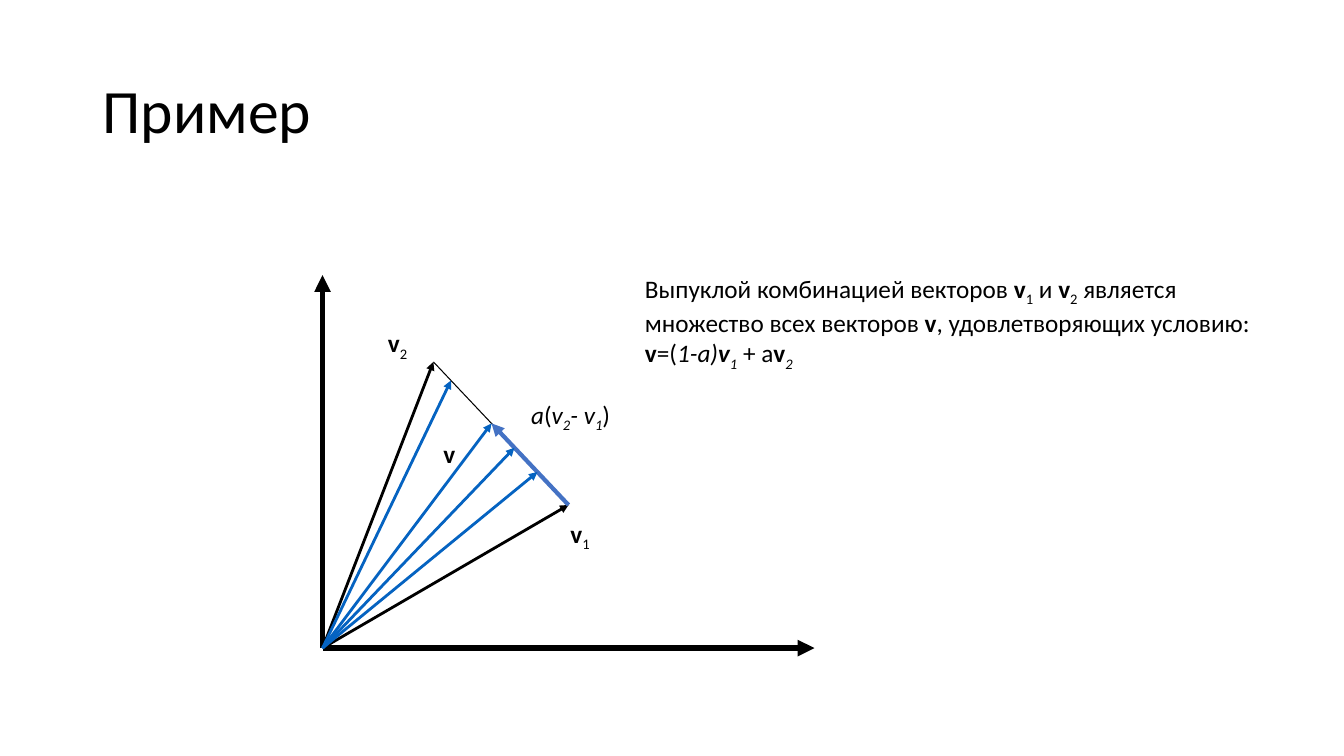
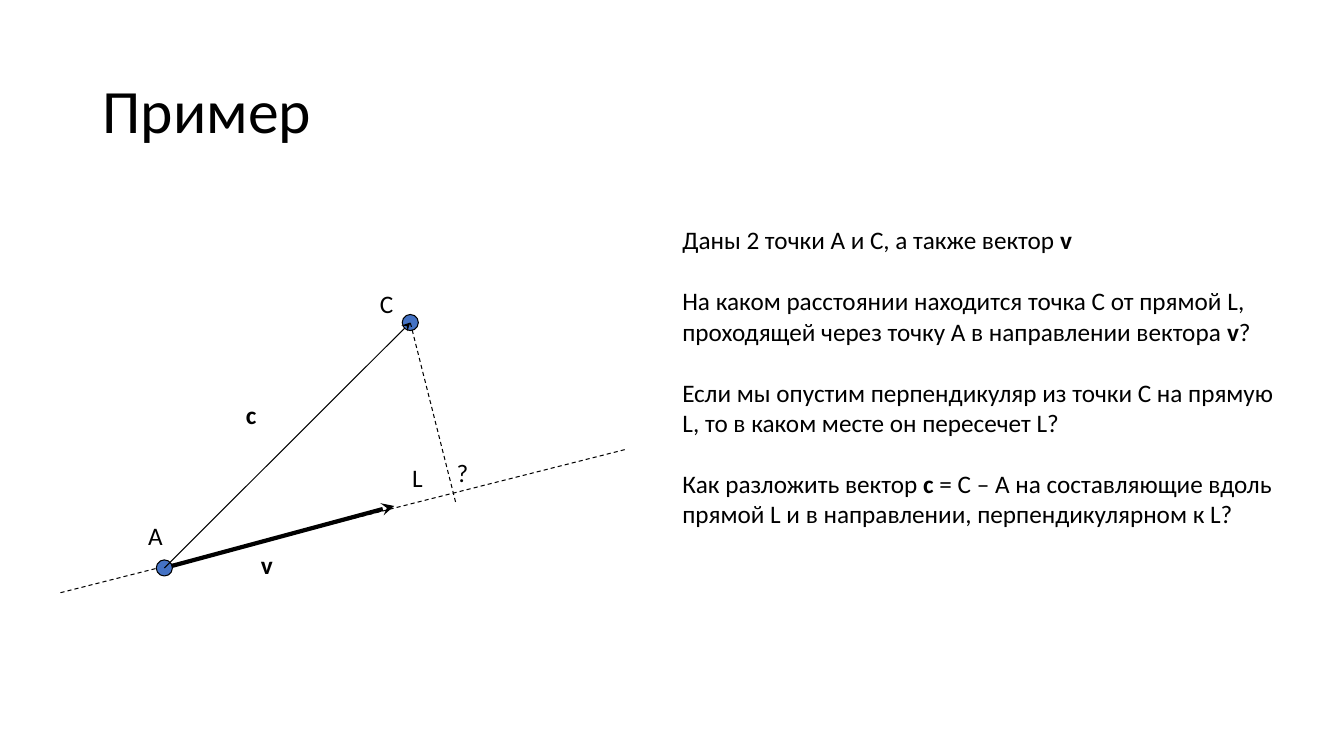
from typing import NamedTuple

from lxml import etree
from pptx import Presentation
from pptx.dml.color import RGBColor
from pptx.enum.dml import MSO_LINE
from pptx.enum.shapes import MSO_CONNECTOR, MSO_SHAPE
from pptx.enum.text import MSO_ANCHOR, MSO_AUTO_SIZE
from pptx.oxml.ns import qn
from pptx.slide import Slide
from pptx.util import Inches, Pt

STRAIGHT, ELLIPSE = MSO_CONNECTOR.STRAIGHT, MSO_SHAPE.OVAL
DASH = MSO_LINE.DASH
MIDDLE, TOP = MSO_ANCHOR.MIDDLE, MSO_ANCHOR.TOP
FIT, NO_FIT = MSO_AUTO_SIZE.SHAPE_TO_FIT_TEXT, MSO_AUTO_SIZE.NONE

WIDTH, HEIGHT = Inches(13.33), Inches(7.5)
FONT, BODY_SIZE, TITLE_SIZE = "Calibri", 18, 44
BLACK, BLUE, ACCENT = "000000", "0563C1", "4472C4"
THIN, MEDIUM, BOLD, AXIS = 0.75, 2, 3, 4
DOT_SIZE = 0.16
LABEL_HEIGHT = 5.33
PARAGRAPH_GAP = 22


class Point(NamedTuple):
    """Place in percent of the slide's width and height."""
    x: float
    y: float


class Run(NamedTuple):
    text: str
    bold: bool = False
    italic: bool = False
    sub: bool = False


class Segment(NamedTuple):
    start: Point
    end: Point
    weight: float = THIN
    color: str = BLACK
    head: str = ""
    dashed: bool = False


class Label(NamedTuple):
    corner: Point
    width: float
    runs: list[Run]


def across(share: float) -> int:
    return round(WIDTH * share / 100)


def down(share: float) -> int:
    return round(HEIGHT * share / 100)


def rgb(color: str) -> RGBColor:
    return RGBColor.from_string(color)


def vector(name: str) -> Run:
    return Run(name, bold=True)


def index(digit: str, italic: bool = False) -> Run:
    return Run(digit, italic=italic, sub=True)


def draw_text(slide: Slide, corner: Point, width: float, height: float,
              paragraphs: list[list[Run]], size: float = BODY_SIZE,
              wrap: bool = True, gap: float = 0, spacing: float = 1.0,
              anchor: MSO_ANCHOR = TOP, fit: MSO_AUTO_SIZE = FIT) -> None:
    frame = slide.shapes.add_textbox(across(corner.x), down(corner.y),
                                     across(width), down(height)).text_frame
    frame.word_wrap, frame.auto_size, frame.vertical_anchor = wrap, fit, anchor
    for number, runs in enumerate(paragraphs):
        paragraph = frame.add_paragraph() if number else frame.paragraphs[0]
        paragraph.line_spacing = spacing
        if number and gap:
            paragraph.space_before = Pt(gap)
        paragraph.font.name, paragraph.font.size = FONT, Pt(size)
        paragraph.font.color.rgb = rgb(BLACK)
        for part in runs:
            run = paragraph.add_run()
            run.text = part.text
            if part.bold:
                run.font.bold = True
            if part.italic:
                run.font.italic = True
            if part.sub:
                run._r.get_or_add_rPr().set("baseline", "-25000")


def draw_label(slide: Slide, label: Label) -> None:
    draw_text(slide, label.corner, label.width, LABEL_HEIGHT, [label.runs], wrap=False)


def draw_segment(slide: Slide, segment: Segment) -> None:
    start, end = segment.start, segment.end
    connector = slide.shapes.add_connector(
        STRAIGHT, across(start.x), down(start.y), across(end.x), down(end.y))
    connector.line.width = Pt(segment.weight)
    connector.line.color.rgb = rgb(segment.color)
    if segment.dashed:
        connector.line.dash_style = DASH
    properties = connector._element.spPr
    if segment.head:
        outline = properties.find(qn("a:ln"))
        etree.SubElement(outline, qn("a:tailEnd"), type=segment.head)
    etree.SubElement(properties, qn("a:effectLst"))


def draw_dot(slide: Slide, center: Point) -> None:
    size = Inches(DOT_SIZE)
    dot = slide.shapes.add_shape(ELLIPSE, across(center.x) - size // 2,
                                 down(center.y) - size // 2, size, size)
    dot.shadow.inherit = False
    dot.fill.solid()
    dot.fill.fore_color.rgb = rgb(ACCENT)
    dot.line.color.rgb = rgb(BLACK)
    dot.line.width = Pt(THIN)


def add_example(deck: Presentation) -> Slide:
    """Blank slide with the shared title."""
    slide = deck.slides.add_slide(deck.slide_layouts[6])
    draw_text(slide, Point(6.9, 5.33), 86.25, 19.33, [[Run("Пример")]],
              size=TITLE_SIZE, spacing=0.9, anchor=MIDDLE, fit=NO_FIT)
    return slide


def build_convex_combination(deck: Presentation) -> None:
    slide = add_example(deck)
    origin = Point(24, 85.73)
    v1, v2 = Point(42.3, 66.8), Point(32.25, 47.87)

    def combine(a: float) -> Point:
        return Point((1 - a) * v1.x + a * v2.x, (1 - a) * v1.y + a * v2.y)

    # Axes, the two given vectors and the segment between them
    axis_ends = [Point(origin.x, 36.4), Point(60.6, origin.y)]
    segments = [Segment(origin, end, AXIS, head="triangle") for end in axis_ends]
    segments += [Segment(origin, end, MEDIUM, head="triangle") for end in (v2, v1)]
    segments.append(Segment(v2, v1))
    # Scaled difference and the combinations
    shown = 0.57
    segments.append(Segment(v1, combine(shown), BOLD, ACCENT, "triangle"))
    segments += [Segment(origin, combine(a), MEDIUM, BLUE, "triangle")
                 for a in (shown, 0.4, 0.87, 0.23)]
    for segment in segments:
        draw_segment(slide, segment)

    labels = [
        Label(Point(41.7, 67.87), 3.3, [vector("v"), index("1")]),
        Label(Point(28.13, 42.67), 3.3, [vector("v"), index("2")]),
        Label(Point(32.25, 57.33), 2.4, [vector("v")]),
        Label(Point(38.78, 52.13), 8.48, [
            Run("a", italic=True), Run("("), Run("v", italic=True), index("2", True),
            Run("- v", italic=True), index("1", True), Run(")")]),
    ]
    for label in labels:
        draw_label(slide, label)

    # Definition
    draw_text(slide, Point(47.25, 35.47), 47.03, 13.47, [
        [Run("Выпуклой комбинацией векторов "), vector("v"), index("1"), Run(" и "),
         vector("v"), index("2"), Run(" является множество всех векторов "),
         vector("v"), Run(", удовлетворяющих условию:")],
        [vector("v"), Run("=("), Run("1-a)", italic=True),
         Run("v", bold=True, italic=True), index("1", True), Run(" + a"),
         vector("v"), index("2", True)],
    ])


def build_distance_to_line(deck: Presentation) -> None:
    slide = add_example(deck)
    a, c = Point(12.23, 75.13), Point(30.53, 42.67)
    v_tip, foot = Point(29.33, 66.93), Point(33.9, 66.4)

    # Line L with its direction, the points, then the perpendicular and c
    draw_segment(slide, Segment(Point(4.5, 78.4), Point(46.5, 59.47), dashed=True))
    draw_segment(slide, Segment(a, v_tip, BOLD, head="stealth"))
    for center in (a, c):
        draw_dot(slide, center)
    draw_segment(slide, Segment(foot, c, dashed=True))
    draw_segment(slide, Segment(a, c, head="stealth"))

    labels = [
        Label(Point(10.28, 68.13), 2.63, [Run("A")]),
        Label(Point(27.53, 37.47), 2.63, [Run("C")]),
        Label(Point(18.68, 72), 2.63, [vector("v")]),
        Label(Point(17.55, 52.13), 2.48, [vector("c")]),
        Label(Point(29.93, 60.53), 2.48, [Run("L")]),
        Label(Point(33.23, 59.87), 2.4, [Run("?")]),
    ]
    for label in labels:
        draw_label(slide, label)

    # Questions
    draw_text(slide, Point(50.03, 29.07), 46.65, 41.73, [
        [Run("Даны 2 точки A и C, а также вектор "), vector("v")],
        [Run("На каком расстоянии находится точка C от прямой L, проходящей "
             "через точку A в направлении вектора "), vector("v"), Run("?")],
        [Run("Если мы опустим перпендикуляр из точки C на прямую L, "
             "то в каком месте он пересечет L?")],
        [Run("Как разложить вектор "), vector("c"),
         Run(" = C – A на составляющие вдоль прямой L и в направлении, "
             "перпендикулярном к L?")],
    ], gap=PARAGRAPH_GAP)


def main() -> None:
    deck = Presentation()
    deck.slide_width, deck.slide_height = WIDTH, HEIGHT
    build_convex_combination(deck)
    build_distance_to_line(deck)
    deck.save("out.pptx")


if __name__ == "__main__":
    main()
